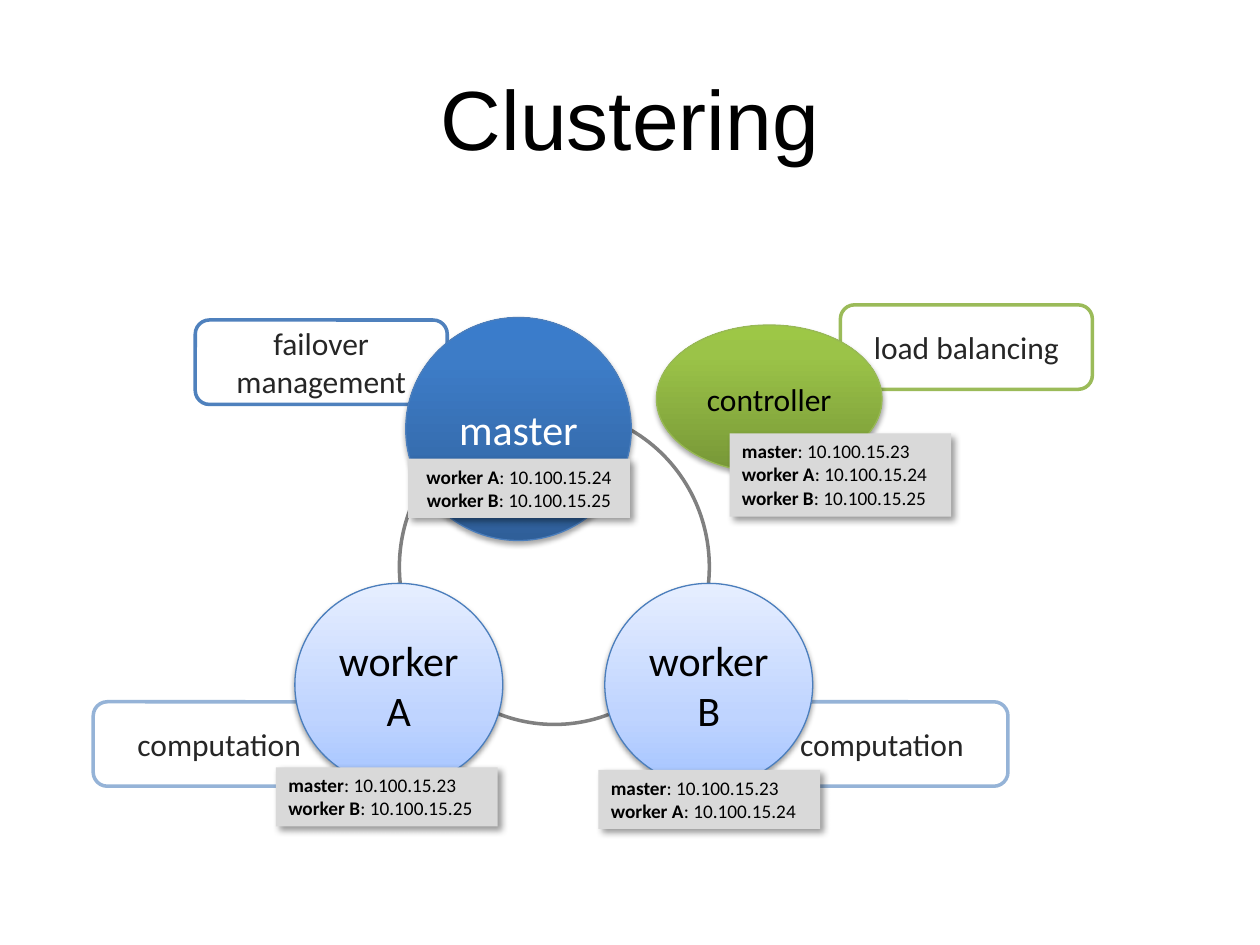
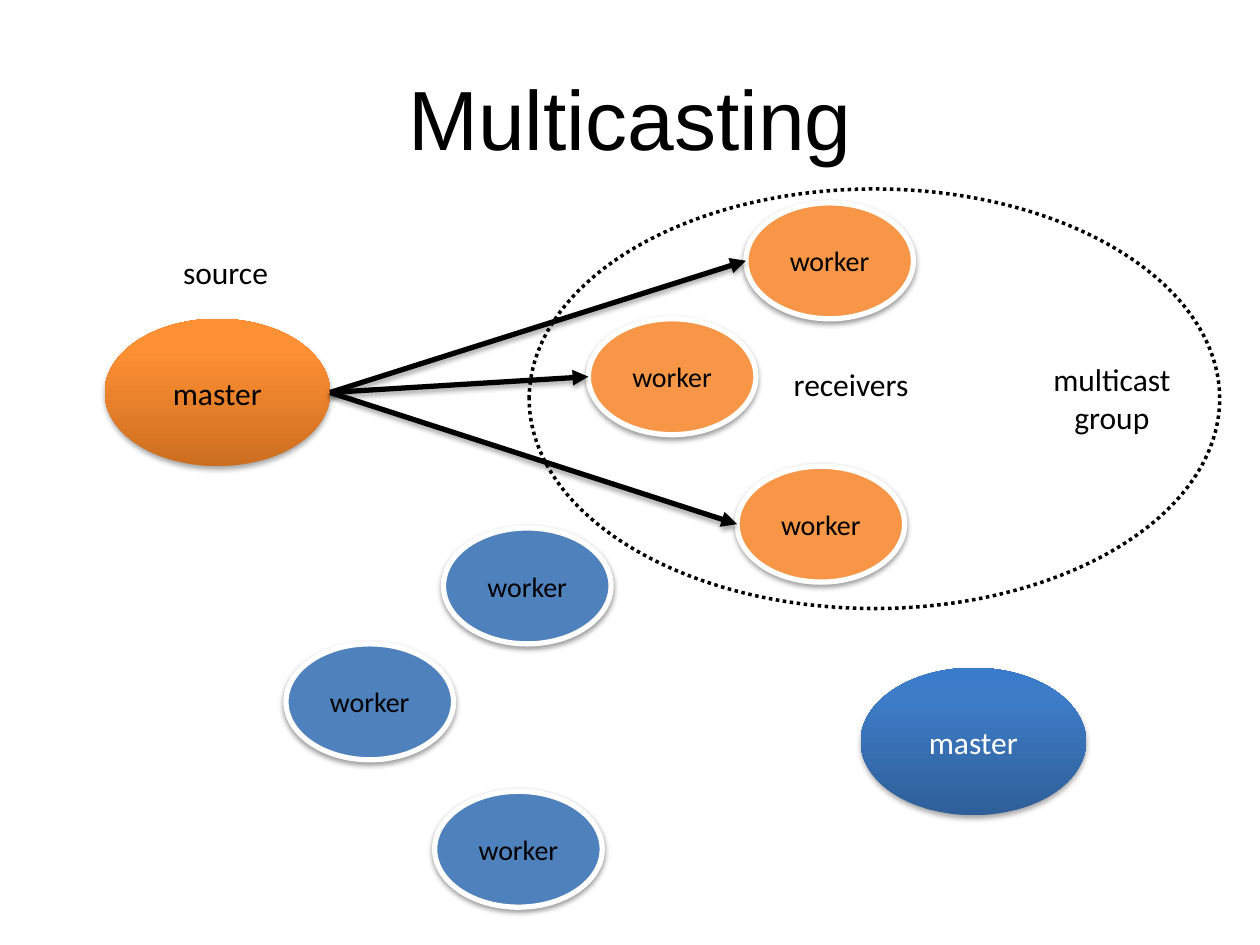
from dataclasses import dataclass

from lxml.etree import SubElement
from pptx import Presentation
from pptx.dml.color import RGBColor
from pptx.enum.dml import MSO_LINE
from pptx.enum.shapes import MSO_CONNECTOR, MSO_SHAPE
from pptx.enum.text import MSO_ANCHOR, PP_ALIGN
from pptx.oxml.ns import qn
from pptx.util import Inches, Pt


@dataclass(frozen=True)
class Theme:
    head: str = "Arial"
    body: str = "Calibri"
    black: str = "000000"
    white: str = "FFFFFF"
    ink: str = "262626"
    gray: str = "808080"
    note: str = "D9D9D9"
    blue: str = "4F81BD"
    edge: str = "4B7EBC"
    pale: str = "95B3D7"
    green: str = "9BBB59"
    rim: str = "98B955"
    orange: str = "F79646"
    # Gradient stops run from bottom to top
    deep: tuple = ((0, "2F5F99"), (80, "3D7CC7"), (100, "3A7CCB"))
    sky: tuple = ((0, "A4C4FF"), (35, "BFD4FF"), (100, "E6EEFF"))
    leaf: tuple = ((0, "779737"), (80, "9BC348"), (100, "9DC746"))
    fire: tuple = ((0, "CC6E20"), (80, "FF9034"), (100, "FF9136"))
    # Shadows: opacity %, blur pt, distance pt, angle
    firm: tuple = (35, 3.1, 1.8, 90)
    soft: tuple = (38, 3.1, 1.6, 90)
    cast: tuple = (40, 4, 3, 45)
    title: int = 48
    large: int = 24
    text: int = 18
    small: int = 16
    tiny: int = 11


T = Theme()
HUB = (1.79, 1.17)
NODE = (1.33, 0.92)
DISK = (1.65, 1.61)
TAG = (2, 0.67)


def rgb(code):
    return RGBColor.from_string(code)


def inch(box):
    return [Inches(n) for n in box]


def shade(shape, look):
    """Replace the theme shadow by the given one, or by none."""
    props = shape.element.spPr
    effects = props.find(qn("a:effectLst"))
    if effects is None:
        effects = SubElement(props, qn("a:effectLst"))
    if look:
        alpha, blur, dist, angle = look
        outer = SubElement(effects, qn("a:outerShdw"), blurRad=str(Pt(blur)),
                           dist=str(Pt(dist)), dir=str(angle * 60000),
                           algn="ctr", rotWithShape="0")
        color = SubElement(outer, qn("a:srgbClr"), val=T.black)
        SubElement(color, qn("a:alpha"), val=str(alpha * 1000))


def paint(shape, fill):
    """Fill with one colour, with gradient stops, or not at all."""
    if fill is None:
        shape.fill.background()
    elif isinstance(fill, str):
        shape.fill.solid()
        shape.fill.fore_color.rgb = rgb(fill)
    else:
        shape.fill.gradient()
        shape.fill.gradient_angle = 90
        stops = shape.element.spPr.find(qn("a:gradFill")).find(qn("a:gsLst"))
        stops.clear()
        for place, code in fill:
            stop = SubElement(stops, qn("a:gs"), pos=str(place * 1000))
            SubElement(stop, qn("a:srgbClr"), val=code)


def write(shape, lines, size, color=T.black, font=T.body,
          align=PP_ALIGN.CENTER, anchor=MSO_ANCHOR.MIDDLE):
    """Each line is a string, or a (bold name, plain rest) pair."""
    frame = shape.text_frame
    frame.word_wrap = True
    frame.vertical_anchor = anchor
    for i, line in enumerate(lines):
        para = frame.add_paragraph() if i else frame.paragraphs[0]
        para.alignment = align
        para.font.size, para.font.name = Pt(size), font
        para.font.color.rgb = rgb(color)
        if isinstance(line, str):
            para.add_run().text = line
        else:
            for part, bold in zip(line, (True, False)):
                run = para.add_run()
                run.text, run.font.bold = part, bold


def draw(slide, kind, box, fill=None, line=None, width=0.75, shadow=None):
    shape = slide.shapes.add_shape(kind, *inch(box))
    shape.shadow.inherit = False
    paint(shape, fill)
    if line:
        shape.line.color.rgb = rgb(line)
        shape.line.width = Pt(width)
    else:
        shape.line.fill.background()
    shade(shape, shadow)
    return shape


def label(slide, box, text, size=T.text, font=T.body, anchor=MSO_ANCHOR.TOP):
    area = slide.shapes.add_textbox(*inch(box))
    write(area, [text], size, font=font, anchor=anchor)


def heading(slide, text):
    label(slide, (0.5, 0.3, 9, 1.25), text, T.title, T.head, MSO_ANCHOR.MIDDLE)


def disk(slide, box, name, fill, line=None, size=T.text, color=T.black,
         shadow=T.firm, width=0.75):
    shape = draw(slide, MSO_SHAPE.OVAL, box, fill, line, width, shadow)
    write(shape, [name], size, color)


def tag(slide, spot, lines, color):
    shape = draw(slide, MSO_SHAPE.ROUNDED_RECTANGLE, spot + TAG,
                 line=color, width=2)
    write(shape, lines, T.text, T.ink)


def peers(slide, spot, names, align=PP_ALIGN.LEFT):
    """Card with the addresses of the named members."""
    hosts = {"master": 23, "worker A": 24, "worker B": 25}
    box = spot + (1.76, 0.09 + 0.19 * len(names))
    shape = draw(slide, MSO_SHAPE.RECTANGLE, box, T.note, shadow=T.cast)
    rows = [(name, f": 10.100.15.{hosts[name]}") for name in names]
    write(shape, rows, T.tiny, align=align, anchor=MSO_ANCHOR.TOP)


def cluster(slide, box):
    left, top = box

    def at(x, y):
        return left + x, top + y

    tag(slide, at(5.93, 0), ["load balancing"], T.green)
    disk(slide, at(4.47, 0.16) + HUB, "controller", T.leaf, T.rim)
    draw(slide, MSO_SHAPE.OVAL, at(2.43, 0.83) + (2.46, 2.5),
         line=T.gray, width=2)
    for name, x, side in (("worker A", 1.6, 0), ("worker B", 4.06, 5.26)):
        tag(slide, at(side, 3.15), ["computation"], T.pale)
        disk(slide, at(x, 2.21) + DISK, name, T.sky, T.edge, T.large,
             shadow=T.soft)
    tag(slide, at(0.81, 0.12), ["failover", "management"], T.blue)
    disk(slide, at(2.48, 0.1) + (1.79, 1.77), "master", T.deep, T.edge,
         T.large, T.white)
    peers(slide, at(2.5, 1.22), ["worker A", "worker B"], PP_ALIGN.CENTER)
    peers(slide, at(4.01, 3.69), ["master", "worker A"])
    peers(slide, at(1.45, 3.67), ["master", "worker B"])
    peers(slide, at(5.05, 1.02), ["master", "worker A", "worker B"])


def trio(slide, box, fill):
    """Draw three workers and return the middle of each left side."""
    left, top = box
    ports = []
    for x, y in ((1.25, 0), (0, 0.92), (1.18, 2.09)):
        spot = left + x, top + y
        disk(slide, spot + NODE, "worker", fill, T.white, T.small,
             shadow=T.soft, width=3)
        ports.append((spot[0], spot[1] + NODE[1] / 2))
    return ports


def arrow(slide, start, end):
    line = slide.shapes.add_connector(MSO_CONNECTOR.STRAIGHT,
                                      *inch(start + end))
    line.line.color.rgb = rgb(T.black)
    line.line.width = Pt(3)
    SubElement(line.line._get_or_add_ln(), qn("a:tailEnd"), type="triangle")
    shade(line, T.firm)


def source(slide, box, ports):
    left, top = box
    label(slide, (left + 0.46, top - 0.57, 1, 0.4), "source")
    disk(slide, box + HUB, "master", T.fire)
    for port in ports:
        arrow(slide, (left + HUB[0], top + HUB[1] / 2), port)


def group(slide, box):
    """Draw the multicast group and return its workers' ports."""
    left, top = box[:2]
    ports = trio(slide, (left + 0.47, top + 0.11), T.orange)
    ring = draw(slide, MSO_SHAPE.OVAL, box, line=T.black, width=2)
    ring.line.dash_style = MSO_LINE.ROUND_DOT
    label(slide, (left + 1.89, top + 1.35, 1.33, 0.4), "receivers")
    label(slide, (left + 3.96, top + 1.31, 1.33, 0.71), "multicast group")
    return ports


def outside(slide, box):
    left, top = box
    trio(slide, box, T.blue)
    disk(slide, (left + 4.56, top + 1.11) + HUB, "master", T.deep,
         color=T.white)


def main():
    deck = Presentation()
    deck.slide_width, deck.slide_height = Inches(10), Inches(7.5)
    blank = deck.slide_layouts[6]

    slide = deck.slides.add_slide(blank)
    heading(slide, "Clustering")
    cluster(slide, (0.74, 2.42))

    slide = deck.slides.add_slide(blank)
    heading(slide, "Multicasting")
    ports = group(slide, (4.2, 1.5, 5.48, 3.33))
    source(slide, (0.83, 2.53), ports)
    outside(slide, (2.27, 4.19))

    deck.save("out.pptx")


if __name__ == "__main__":
    main()
